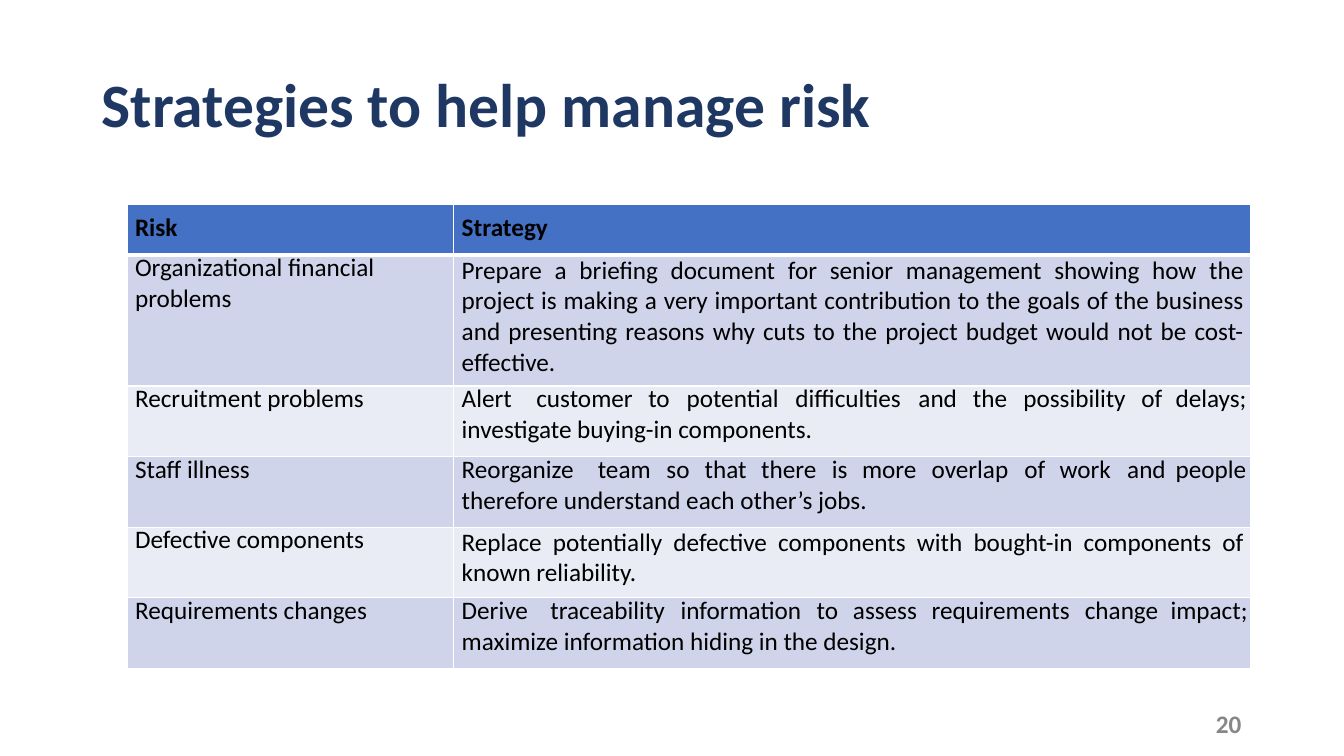
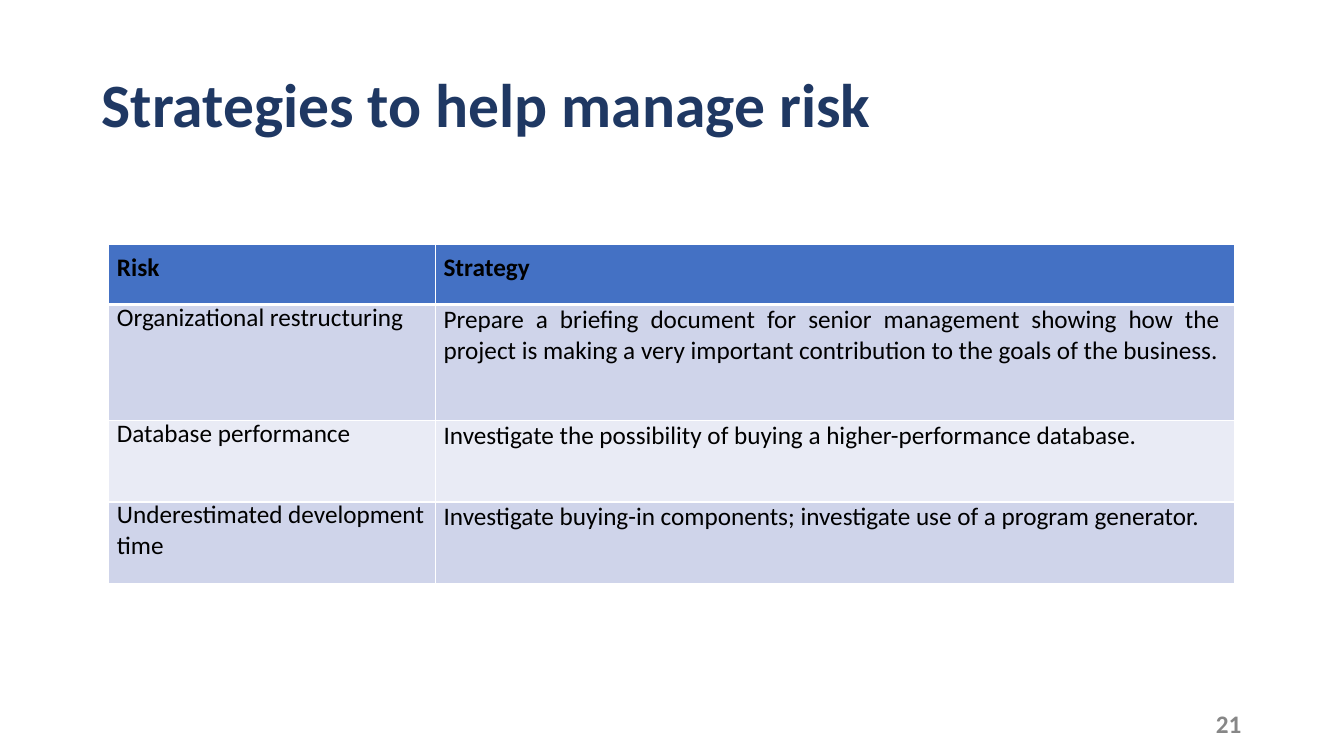
from lxml.etree import SubElement
from pptx import Presentation
from pptx.dml.color import RGBColor
from pptx.enum.text import PP_ALIGN
from pptx.oxml import parse_xml
from pptx.oxml.ns import nsdecls, qn
from pptx.util import Inches, Pt

NAVY, GREY, BLACK = "1F3863", "878787", "000000"
HEADER, BANDS = "4471C4", ("CFD4EA", "E9EBF5")
INDENT = 0.08

# A strategy is a list of lines; a list of one is justified and wraps by itself.
# A risk is a list of lines too. Tab stops, in inches, serve the first line.
SLIDES = [
    {
        "number": "20", "left": 1.26, "top": 2.03, "right_indent": 0.06,
        "cols": [3.24, 7.9], "heights": [0.5, 1.3, 0.7, 0.7, 0.7, 0.7],
        "rows": [
            (["Organizational financial", "problems"],
             ["Prepare a briefing document for senior management showing how the project is making "
              "a very important contribution to the goals of the business and presenting reasons "
              "why cuts to the project budget would not be cost-effective."], []),
            (["Recruitment problems"],
             ["Alert\tcustomer\tto\tpotential\tdifficulties\tand\tthe\tpossibility\tof\tdelays;",
              "investigate buying-in components."],
             [0.74, 1.85, 2.23, 3.31, 4.53, 5.07, 5.57, 6.74, 7.08]),
            (["Staff illness"],
             ["Reorganize\tteam\tso\tthat\tthere\tis\tmore\toverlap\tof\twork\tand\tpeople",
              "therefore understand each other’s jobs."],
             [1.35, 2.03, 2.41, 2.97, 3.67, 3.97, 4.66, 5.58, 5.93, 6.6, 7.08]),
            (["Defective components"],
             ["Replace potentially defective components with bought-in components of "
              "known reliability."], []),
            (["Requirements changes"],
             ["Derive\ttraceability\tinformation\tto\tassess\trequirements\tchange\timpact;",
              "maximize information hiding in the design."],
             [0.88, 2.17, 3.52, 3.88, 4.66, 6.18, 7.03]),
        ],
    },
    {
        "number": "21", "left": 1.08, "top": 2.42, "right_indent": 0.15,
        "cols": [3.24, 7.93], "heights": [0.6, 1.15, 0.81, 0.81],
        "rows": [
            (["Organizational restructuring"],
             ["Prepare a briefing document for senior management showing how the project is making "
              "a very important contribution to the goals of the business."], []),
            (["Database performance"],
             ["Investigate the possibility of buying a higher-performance database."], []),
            (["Underestimated development", "time"],
             ["Investigate buying-in components; investigate use of a program generator."], []),
        ],
    },
]


def rgb(value):
    return RGBColor.from_string(value)


def add_run(p, text, size, color, bold=False):
    r = p.add_run()
    r.text = text
    r.font.name = "Calibri"
    r.font.size = Pt(size)
    r.font.bold = bold
    r.font.color.rgb = rgb(color)


prs = Presentation()
prs.slide_width, prs.slide_height = Inches(13.33), Inches(7.5)

for data in SLIDES:
    s = prs.slides.add_slide(prs.slide_layouts[6])

    for text, box, size, color in [
        ("Strategies to help manage risk", (1.01, 0.65, 11.7, 0.83), 44, NAVY),
        (data["number"], (12.06, 7.03, 0.32, 0.28), 18, GREY),
    ]:
        tf = s.shapes.add_textbox(*map(Inches, box)).text_frame
        tf.word_wrap = True
        tf.margin_left = tf.margin_top = tf.margin_right = tf.margin_bottom = 0
        add_run(tf.paragraphs[0], text, size, color, bold=True)

    cols, heights = data["cols"], data["heights"]
    table = s.shapes.add_table(
        len(heights), len(cols), Inches(data["left"]), Inches(data["top"]),
        Inches(sum(cols)), Inches(sum(heights))).table
    table.first_row = table.horz_banding = False
    for column, width in zip(table.columns, cols):
        column.width = Inches(width)

    rows = [(["Risk"], ["Strategy"], [])] + data["rows"]
    for i, (risk, strategy, stops) in enumerate(rows):
        table.rows[i].height = Inches(heights[i])
        is_header = i == 0
        for j, lines in enumerate((risk, strategy)):
            cell = table.cell(i, j)
            cell.margin_left = cell.margin_right = cell.margin_bottom = 0
            cell.margin_top = Inches(0.08 if is_header else 0)
            cell.fill.solid()
            cell.fill.fore_color.rgb = rgb(HEADER if is_header else BANDS[(i - 1) % 2])

            widths = {"lnL": 1, "lnR": 1, "lnT": 3 if i == 1 else 1, "lnB": 3 if is_header else 1}
            for k, (side, width) in enumerate(widths.items()):
                cell._tc.get_or_add_tcPr().insert(k, parse_xml(
                    f'<a:{side} {nsdecls("a")} w="{Pt(width)}"><a:solidFill>'
                    f'<a:srgbClr val="FFFFFF"/></a:solidFill></a:{side}>'))

            tf = cell.text_frame
            for n, line in enumerate(lines):
                p = tf.add_paragraph() if n else tf.paragraphs[0]
                pPr = p._p.get_or_add_pPr()
                pPr.set("marL", str(Inches(INDENT)))
                if j == 1 and len(lines) == 1 and not is_header:
                    p.alignment = PP_ALIGN.JUSTIFY
                    pPr.set("marR", str(Inches(data["right_indent"])))
                elif n == 0 and not is_header:
                    p.line_spacing = Pt(20.4)
                if "\t" in line:
                    tabs = SubElement(pPr, qn("a:tabLst"))
                    for stop in stops:
                        SubElement(tabs, qn("a:tab"), pos=str(Inches(stop)), algn="l")
                add_run(p, line, 18, BLACK, bold=is_header)

prs.save("out.pptx")
